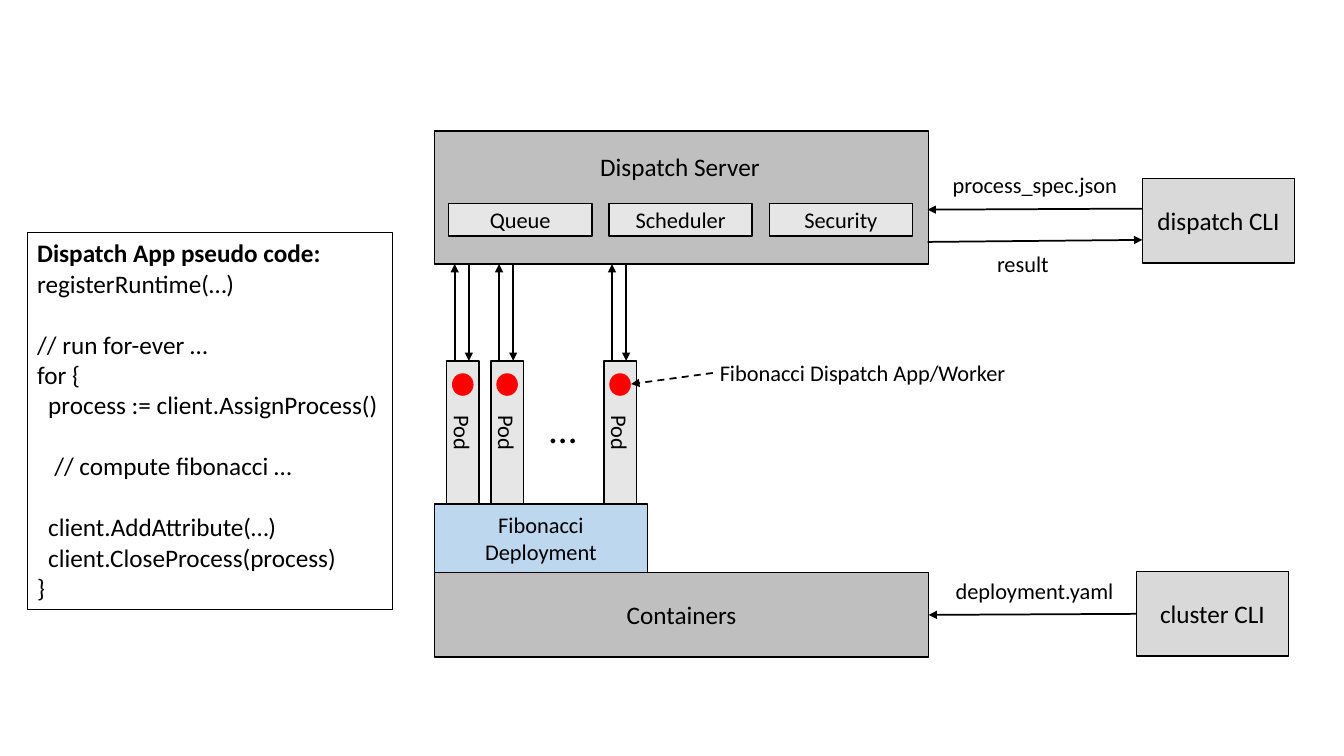
from dataclasses import dataclass
from typing import Optional

from lxml.etree import SubElement
from pptx import Presentation
from pptx.dml.color import RGBColor
from pptx.enum.dml import MSO_LINE
from pptx.enum.shapes import MSO_CONNECTOR, MSO_SHAPE
from pptx.enum.text import MSO_ANCHOR, PP_ALIGN
from pptx.oxml.ns import qn
from pptx.shapes.autoshape import Shape
from pptx.shapes.connector import Connector
from pptx.util import Emu, Pt

PX = 9144
FONT = "Calibri"
BLACK, RED, BLUE = "000000", "FF0000", "BDD7EE"
DARK_GRAY, MID_GRAY, LIGHT_GRAY = "BFBFBF", "D9D9D9", "E7E6E6"
SERVER_BOTTOM, POD_TOP, POD_HEIGHT, POD_WIDTH = 262, 358, 142, 32
POD_CENTERS = (459, 503, 615)
CODE_LINE_HEIGHT = 22


@dataclass(frozen=True)
class Box:
    left: int
    top: int
    width: int
    height: int
    text: str = ""
    fill: Optional[str] = None
    size: int = 18
    line: str = BLACK
    line_width: float = 1
    kind: MSO_SHAPE = MSO_SHAPE.RECTANGLE
    rotation: int = 0


@dataclass(frozen=True)
class Label:
    left: int
    top: int
    width: int
    height: int
    text: str
    size: int = 16
    align: PP_ALIGN = PP_ALIGN.LEFT


@dataclass(frozen=True)
class Arrow:
    start: tuple[int, int]
    end: tuple[int, int]
    dashed: bool = False


@dataclass(frozen=True)
class CodeLine:
    text: str
    indent: int = 0
    gap_before: bool = False
    bold: bool = False


CLUSTER = Box(431, 568, 490, 84, "Containers", DARK_GRAY)
CLUSTER_CLI = Box(1127, 567, 151, 84, "cluster CLI", MID_GRAY)
BOXES = (
    Box(431, 500, 211, 68, "Fibonacci\nDeployment", BLUE, 16),
    Box(431, 130, 490, 132, fill=DARK_GRAY),
    Box(1133, 177, 151, 84, "dispatch CLI", MID_GRAY),
)
SERVER_PARTS = ("Queue", "Scheduler", "Security")
LABELS = (
    Label(535, 396, 47, 57, "…", 28),
    Label(938, 568, 195, 37, "deployment.yaml"),
    Label(935, 165, 195, 37, "process_spec.json"),
    Label(979, 243, 195, 37, "result"),
    Label(341, 145, 667, 40, "Dispatch Server", 18, PP_ALIGN.CENTER),
    Label(704, 351, 329, 37, "Fibonacci Dispatch App/Worker"),
)
ARROWS = (
    Arrow((1133, 207), (920, 208)),
    Arrow((920, 240), (1133, 238)),
    Arrow((707, 370), (626, 381), dashed=True),
)
CODE = (
    CodeLine("Dispatch App pseudo code:", bold=True),
    CodeLine("registerRuntime(…)"),
    CodeLine("// run for-ever …", gap_before=True),
    CodeLine("for {"),
    CodeLine("process := client.AssignProcess()", 11),
    CodeLine("// compute fibonacci …", 17, gap_before=True),
    CodeLine("client.AddAttribute(…)", 11, gap_before=True),
    CodeLine("client.CloseProcess(process)", 11),
    CodeLine("}"),
)


def px(length: int) -> Emu:
    """Turn pixels into EMU."""
    return Emu(length * PX)


def color(value: str) -> RGBColor:
    """Turn a hex string into a colour."""
    return RGBColor.from_string(value)


def write(paragraph, text: str, *, size: int, bold: bool = False,
          align: PP_ALIGN = PP_ALIGN.LEFT, indent: int = 0, before: int = 0) -> None:
    """Write formatted text into a paragraph."""
    paragraph.alignment = align
    paragraph.space_before = Pt(before)
    if indent:
        properties = paragraph._p.get_or_add_pPr()
        properties.set("marL", str(px(indent)))
        properties.set("indent", "0")
    run = paragraph.add_run()
    run.text = text
    run.font.name = FONT
    run.font.size = Pt(size)
    run.font.bold = bold
    run.font.color.rgb = color(BLACK)


def next_paragraph(frame, index: int):
    """Return the first paragraph or a new one."""
    return frame.add_paragraph() if index else frame.paragraphs[0]


def draw_box(slide, box: Box) -> Shape:
    """Draw a shape with centred text."""
    shape = slide.shapes.add_shape(
        box.kind, px(box.left), px(box.top), px(box.width), px(box.height))
    shape.shadow.inherit = False
    shape.rotation = box.rotation
    if box.fill:
        shape.fill.solid()
        shape.fill.fore_color.rgb = color(box.fill)
    else:
        shape.fill.background()
    shape.line.color.rgb = color(box.line)
    shape.line.width = Pt(box.line_width)
    shape.text_frame.vertical_anchor = MSO_ANCHOR.MIDDLE
    for index, text in enumerate(box.text.splitlines()):
        write(next_paragraph(shape.text_frame, index), text,
              size=box.size, align=PP_ALIGN.CENTER)
    return shape


def draw_label(slide, label: Label) -> None:
    """Draw a text box."""
    shape = slide.shapes.add_textbox(
        px(label.left), px(label.top), px(label.width), px(label.height))
    shape.text_frame.word_wrap = True
    write(shape.text_frame.paragraphs[0], label.text, size=label.size, align=label.align)


def draw_arrow(slide, arrow: Arrow) -> Connector:
    """Draw a connector with a triangle at its end."""
    connector = slide.shapes.add_connector(
        MSO_CONNECTOR.STRAIGHT, *map(px, arrow.start + arrow.end))
    connector.line.color.rgb = color(BLACK)
    connector.line.width = Pt(1.25)
    if arrow.dashed:
        connector.line.dash_style = MSO_LINE.DASH
    properties = connector._element.spPr
    SubElement(properties.find(qn("a:ln")), qn("a:tailEnd"), type="triangle")
    SubElement(properties, qn("a:effectLst"))
    return connector


def draw_pod(slide, center: int) -> None:
    """Draw a pod with its worker and its two arrows to the server."""
    middle = POD_TOP + POD_HEIGHT // 2
    draw_box(slide, Box(center - POD_HEIGHT // 2, middle - POD_WIDTH // 2,
                        POD_HEIGHT, POD_WIDTH, "Pod", LIGHT_GRAY, 16, rotation=90))
    draw_box(slide, Box(center - 10, 371, 20, 21, fill=RED, line=RED, kind=MSO_SHAPE.OVAL))
    draw_arrow(slide, Arrow((center - 8, POD_TOP), (center - 8, SERVER_BOTTOM)))
    draw_arrow(slide, Arrow((center + 6, SERVER_BOTTOM), (center + 6, POD_TOP)))


def draw_code(slide) -> None:
    """Draw the framed pseudo code."""
    frame = draw_box(slide, Box(27, 231, 362, 374, line_width=0.75)).text_frame
    frame.vertical_anchor = MSO_ANCHOR.TOP
    frame.margin_right = 0
    for index, line in enumerate(CODE):
        write(next_paragraph(frame, index), line.text, size=18, bold=line.bold,
              indent=line.indent, before=CODE_LINE_HEIGHT * line.gap_before)


def main() -> None:
    """Build and save the slide."""
    presentation = Presentation()
    presentation.slide_width, presentation.slide_height = px(1333), px(750)
    slide = presentation.slides.add_slide(presentation.slide_layouts[6])
    cluster, cluster_cli = (draw_box(slide, box) for box in (CLUSTER, CLUSTER_CLI))
    for box in BOXES:
        draw_box(slide, box)
    for index, name in enumerate(SERVER_PARTS):
        draw_box(slide, Box(445 + 159 * index, 202, 142, 32, name, LIGHT_GRAY, 16))
    for center in POD_CENTERS:
        draw_pod(slide, center)
    for label in LABELS:
        draw_label(slide, label)
    for arrow in ARROWS:
        draw_arrow(slide, arrow)
    deploy = draw_arrow(slide, Arrow((1127, 609), (921, 610)))
    deploy.begin_connect(cluster_cli, 1)
    deploy.end_connect(cluster, 3)
    draw_code(slide)
    presentation.save("out.pptx")


if __name__ == "__main__":
    main()
